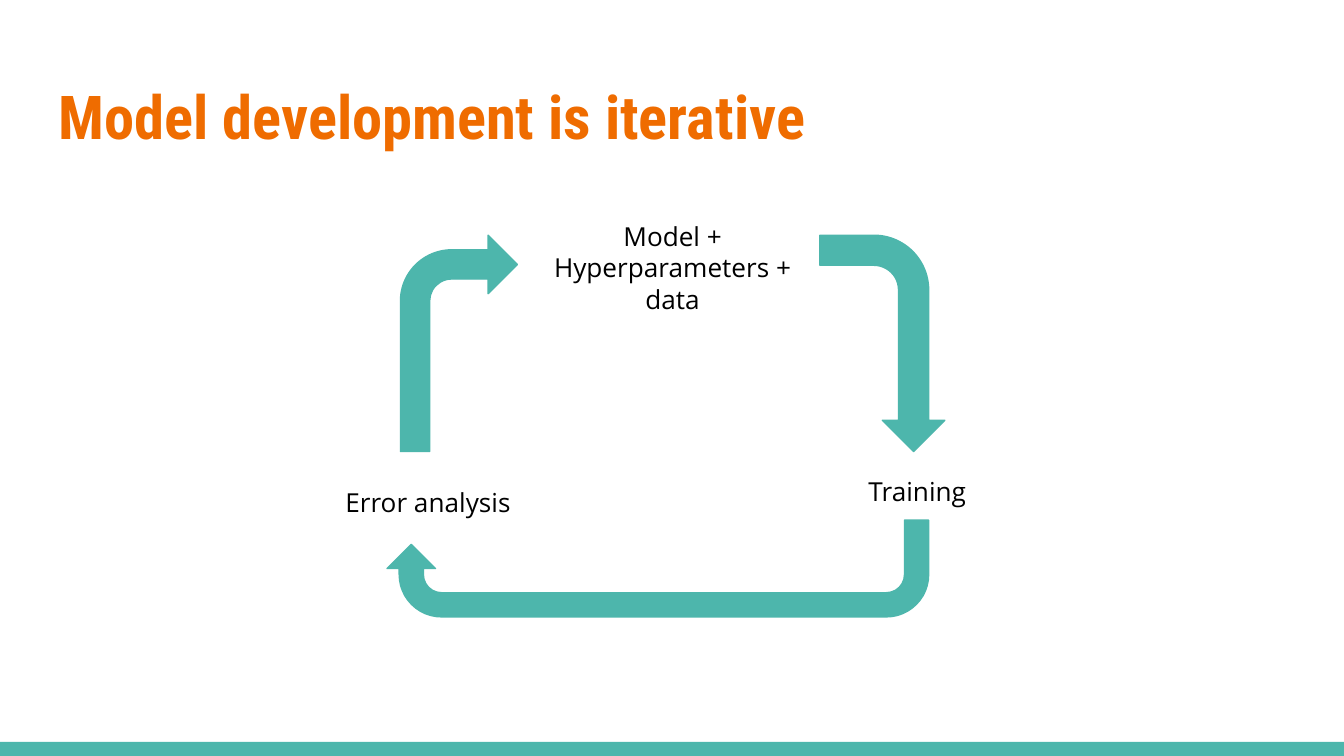
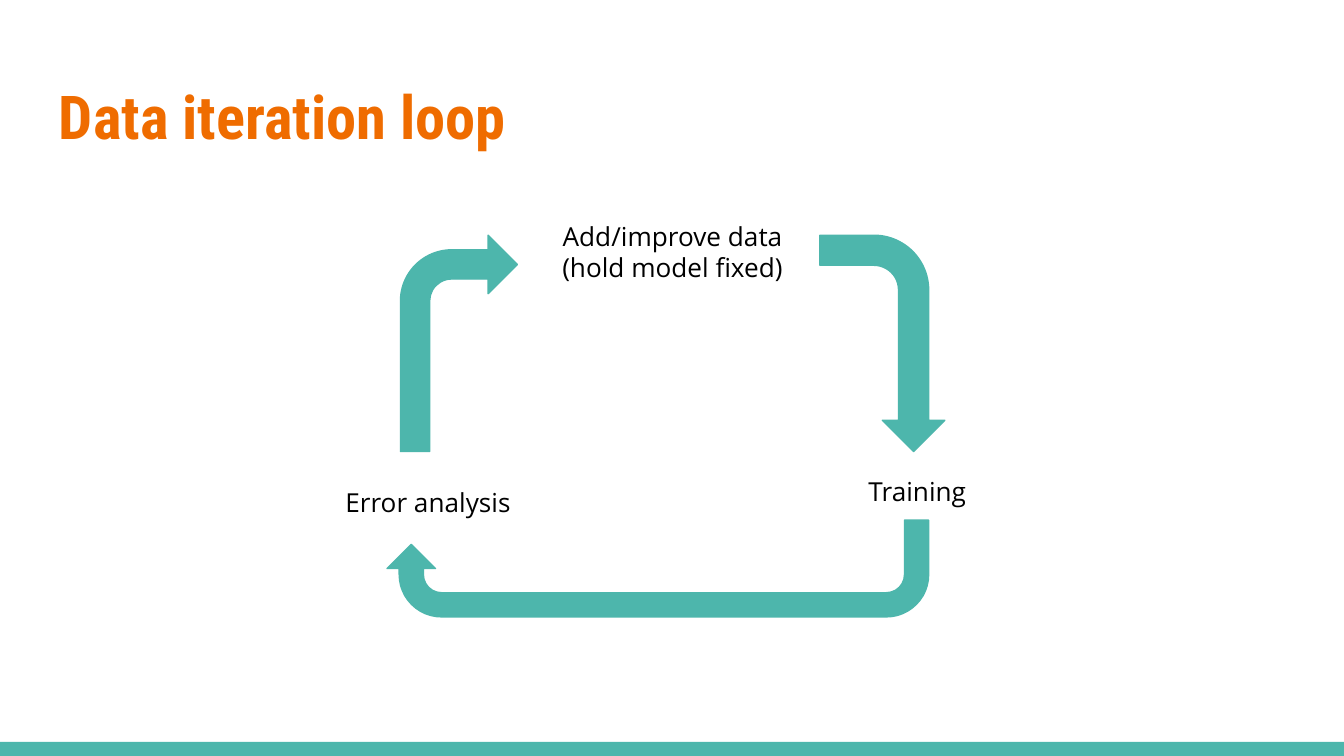
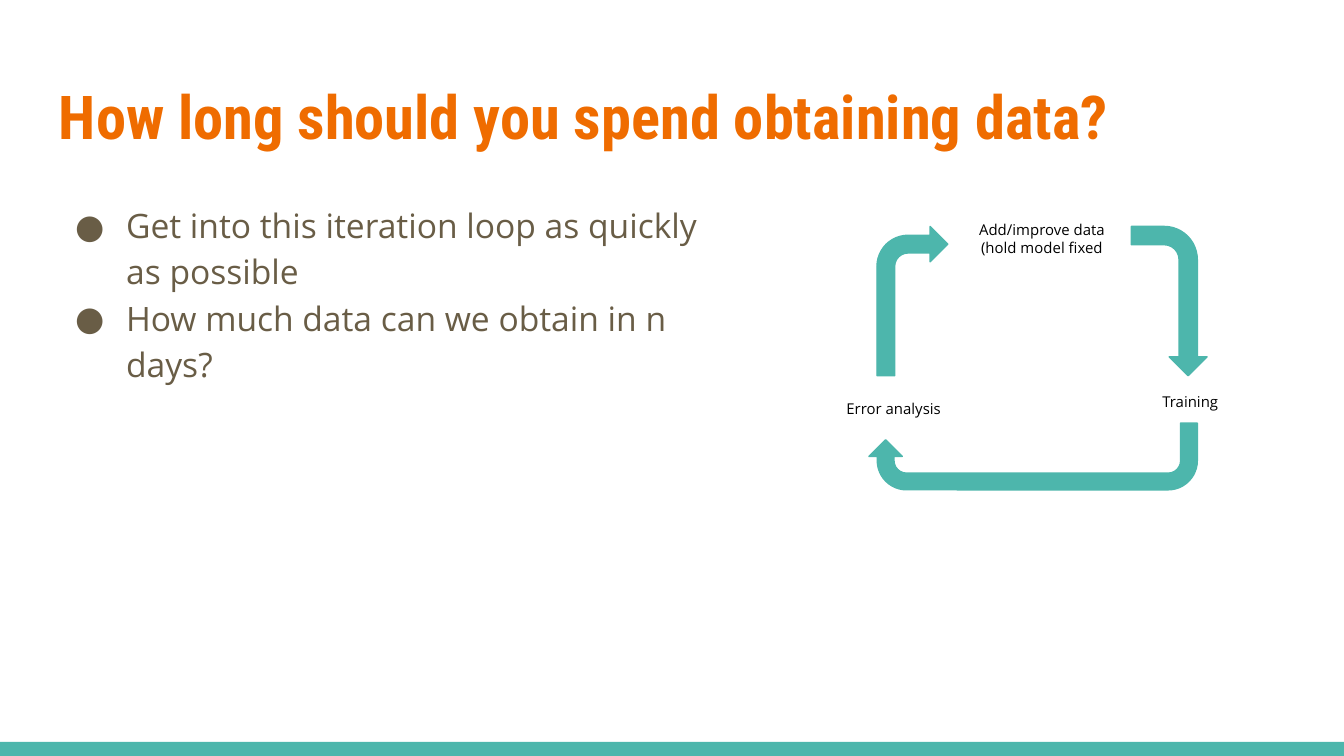
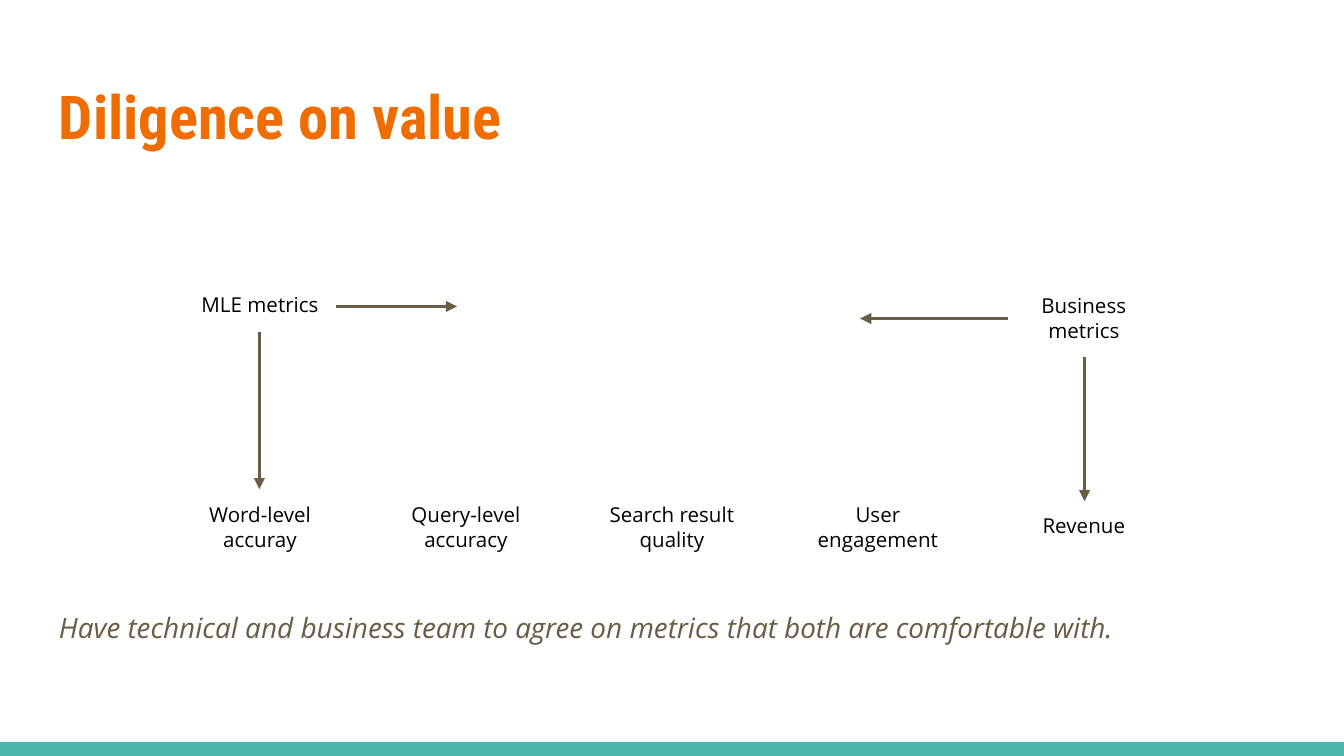
"""Build four slides on iterative model development and metrics."""
from lxml.etree import SubElement
from pptx import Presentation
from pptx.dml.color import RGBColor
from pptx.enum.shapes import MSO_CONNECTOR as Connector, MSO_SHAPE as Preset
from pptx.enum.text import MSO_AUTO_SIZE as AutoSize, PP_ALIGN as Align
from pptx.oxml.ns import qn
from pptx.util import Inches, Pt

TEAL, ORANGE, BROWN, BLACK = "4DB6AC", "EF6C00", "695D46", "000000"
HEADING_FONT, BODY_FONT = "Roboto Condensed", "Open Sans"
MARGIN = 0.34

LARGE_LOOP = dict(left=2.08, top=1.54, scale_x=1, scale_y=1, size=14)
SMALL_LOOP = dict(left=5.98, top=1.54, scale_x=1.34 / 2.21, scale_y=0.69, size=8)
LOOP_SLIDES = [
    dict(title="Model development is iterative", loop=LARGE_LOOP,
         start="Model + Hyperparameters + data", start_lines=3, bullets=[]),
    dict(title="Data iteration loop", loop=LARGE_LOOP,
         start="Add/improve data\n(hold model fixed)", start_lines=2, bullets=[]),
    dict(title="How long should you spend obtaining data?", loop=SMALL_LOOP,
         start="Add/improve data\n(hold model fixed", start_lines=2,
         bullets=["Get into this iteration loop as quickly as possible",
                  "How much data can we obtain in n days?"]),
]
LABEL_WIDTH = 2.21
START_PLACE = (1.82, 0)
STEPS = [("Error analysis", 0, 1.98), ("Training", 3.64, 1.9)]
BENDS = [0.25, 0.25, 0.25, 0.438]
LOOP_ARROWS = [
    (Preset.BENT_ARROW, (0.9, 0.21, 0.87, 1.61), 0, BENDS),
    (Preset.BENT_ARROW, (4.02, 0.21, 0.93, 1.61), 90, [0.241] + BENDS[1:]),
    (Preset.U_TURN_ARROW, (0.8, 2.33, 4.03, 0.72), 180, BENDS + [0.75]),
]

VALUE_TITLE = "Diligence on value"
VALUE_NOTE = "Have technical and business team to agree on metrics that both are comfortable with."
SOURCES = [("MLE metrics", 0, 1), ("Business\nmetrics", 4, 2)]
METRICS = [("Word-level accuray", 2), ("Query-level\naccuracy", 2),
           ("Search result quality", 2), ("User engagement", 2), ("Revenue", 1)]
METRIC_LEFT, METRIC_RIGHT, METRIC_WIDTH, METRIC_SIZE = 1.37, 8.63, 1.13, 11
METRIC_STEP = (METRIC_RIGHT - METRIC_WIDTH - METRIC_LEFT) / (len(METRICS) - 1)
SOURCE_TOP, METRIC_MIDDLE = 2.08, 3.92
VALUE_ARROWS = [((1.93, 2.47), (1.93, 3.64)), ((8.07, 2.66), (8.07, 3.73)),
                ((2.5, 2.28), (3.4, 2.28)), ((7.5, 2.37), (6.4, 2.37))]


def color(hex_code):
    return RGBColor.from_string(hex_code)


def add_text(slide, text, box, size, hex_code, font=BODY_FONT, bold=False, italic=False,
             align=Align.LEFT):
    frame = slide.shapes.add_textbox(*map(Inches, box)).text_frame
    frame.word_wrap = True
    frame.margin_left = frame.margin_right = Inches(0.1)
    frame.margin_top = frame.margin_bottom = Inches(0.1)
    frame.text = text
    for paragraph in frame.paragraphs:
        paragraph.alignment = align
        for run in paragraph.runs:
            run.font.name, run.font.size = font, Pt(size)
            run.font.bold, run.font.italic = bold, italic
            run.font.color.rgb = color(hex_code)
    return frame


def label_height(size, lines):
    return 0.2 + lines * size * 1.2 / 72


def add_label(slide, text, left, top, width, size, lines):
    frame = add_text(slide, text, (left, top, width, label_height(size, lines)),
                     size, BLACK, align=Align.CENTER)
    frame.auto_size = AutoSize.SHAPE_TO_FIT_TEXT


def add_filled(slide, preset, box):
    shape = slide.shapes.add_shape(preset, *map(Inches, box))
    shape.shadow.inherit = False
    shape.fill.solid()
    shape.fill.fore_color.rgb = color(TEAL)
    return shape


def add_slide(deck, title):
    slide = deck.slides.add_slide(deck.slide_layouts[6])
    add_filled(slide, Preset.RECTANGLE, (0, 5.52, 10, 0.11)).line.fill.background()
    add_text(slide, title, (MARGIN, 0.49, 9.32, 0.77), 32.4, ORANGE, HEADING_FONT, bold=True)
    return slide


def add_loop(slide, start, start_lines, left, top, scale_x, scale_y, size):
    for text, x, y, lines in [(start, *START_PLACE, start_lines)] + [(*step, 1) for step in STEPS]:
        add_label(slide, text, left + x * scale_x, top + y * scale_y,
                  LABEL_WIDTH * scale_x, size, lines)
    for preset, (x, y, w, h), turn, bends in LOOP_ARROWS:
        x, y, w, h = left + x * scale_x, top + y * scale_y, w * scale_x, h * scale_y
        if turn == 90:
            x, y, w, h = x + (w - h) / 2, y + (h - w) / 2, h, w
        arrow = add_filled(slide, preset, (x, y, w, h))
        arrow.rotation = turn
        arrow.line.color.rgb = color(TEAL)
        arrow.line.width = Pt(0.75)
        for index, bend in enumerate(bends):
            arrow.adjustments[index] = bend


def add_bullets(slide, bullets):
    frame = add_text(slide, "\n".join(bullets), (MARGIN, 1.38, 4.96, 3.61), 18, BROWN)
    for paragraph in frame.paragraphs:
        props = paragraph._p.get_or_add_pPr()
        props.set("marL", str(Inches(0.5)))
        props.set("indent", str(Inches(-0.38)))
        SubElement(SubElement(props, qn("a:buClr")), qn("a:srgbClr"), val=BROWN)
        SubElement(props, qn("a:buFont"), typeface=BODY_FONT)
        SubElement(props, qn("a:buChar"), char="●")
        paragraph.line_spacing = 1.15


def add_arrow(slide, start, end):
    arrow = slide.shapes.add_connector(Connector.STRAIGHT, *map(Inches, start + end))
    arrow.line.color.rgb = color(BROWN)
    arrow.line.width = Pt(1.5)
    SubElement(arrow.line._get_or_add_ln(), qn("a:tailEnd"), type="triangle")
    SubElement(arrow._element.spPr, qn("a:effectLst"))


def add_value_slide(deck):
    slide = add_slide(deck, VALUE_TITLE)
    add_text(slide, VALUE_NOTE, (MARGIN, 4.44, 9.32, 0.5), 15, BROWN, italic=True)
    tops = [(text, column, SOURCE_TOP, lines) for text, column, lines in SOURCES]
    bottoms = [(text, column, METRIC_MIDDLE - label_height(METRIC_SIZE, lines) / 2, lines)
               for column, (text, lines) in enumerate(METRICS)]
    for text, column, top, lines in tops + bottoms:
        add_label(slide, text, METRIC_LEFT + column * METRIC_STEP, top,
                  METRIC_WIDTH, METRIC_SIZE, lines)
    for start, end in VALUE_ARROWS:
        add_arrow(slide, start, end)


def main():
    deck = Presentation()
    deck.slide_width = Inches(10)
    deck.slide_height = deck.slide_width * 9 // 16
    for page in LOOP_SLIDES:
        slide = add_slide(deck, page["title"])
        add_loop(slide, page["start"], page["start_lines"], **page["loop"])
        if page["bullets"]:
            add_bullets(slide, page["bullets"])
    add_value_slide(deck)
    deck.save("out.pptx")


if __name__ == "__main__":
    main()
